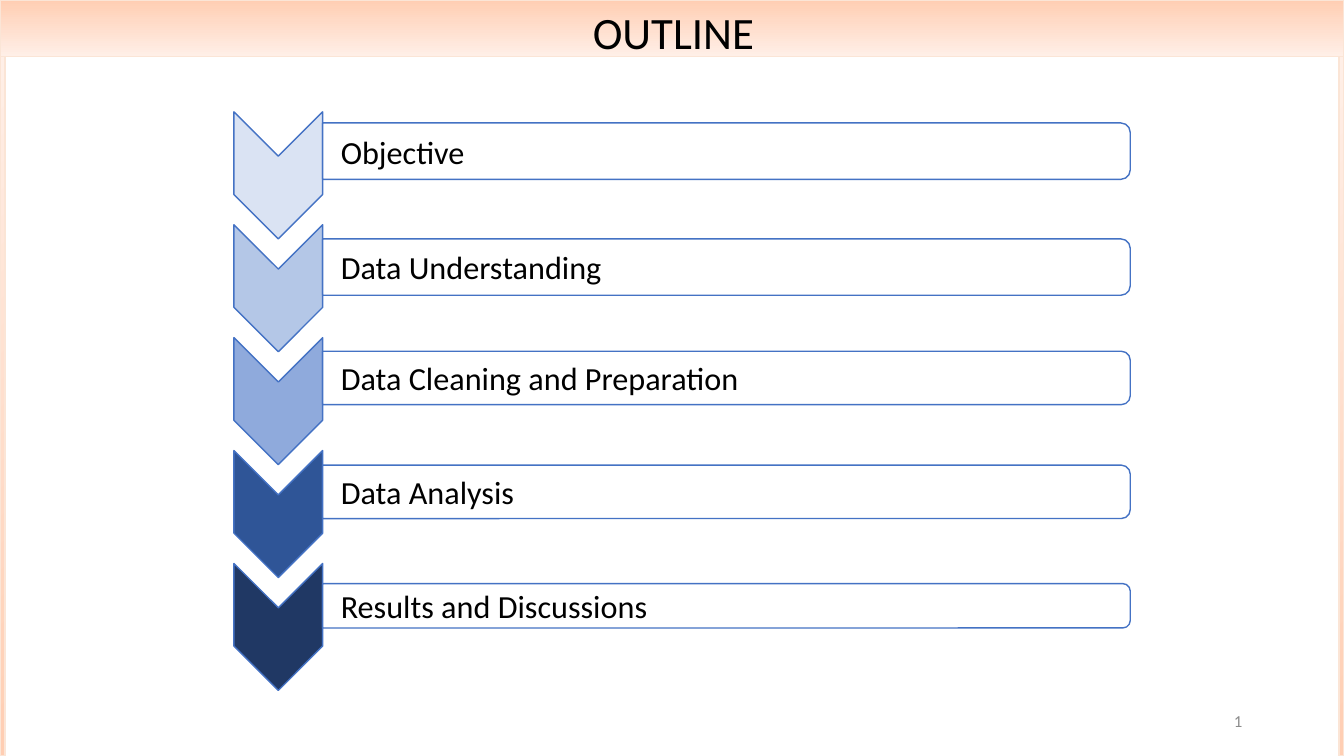
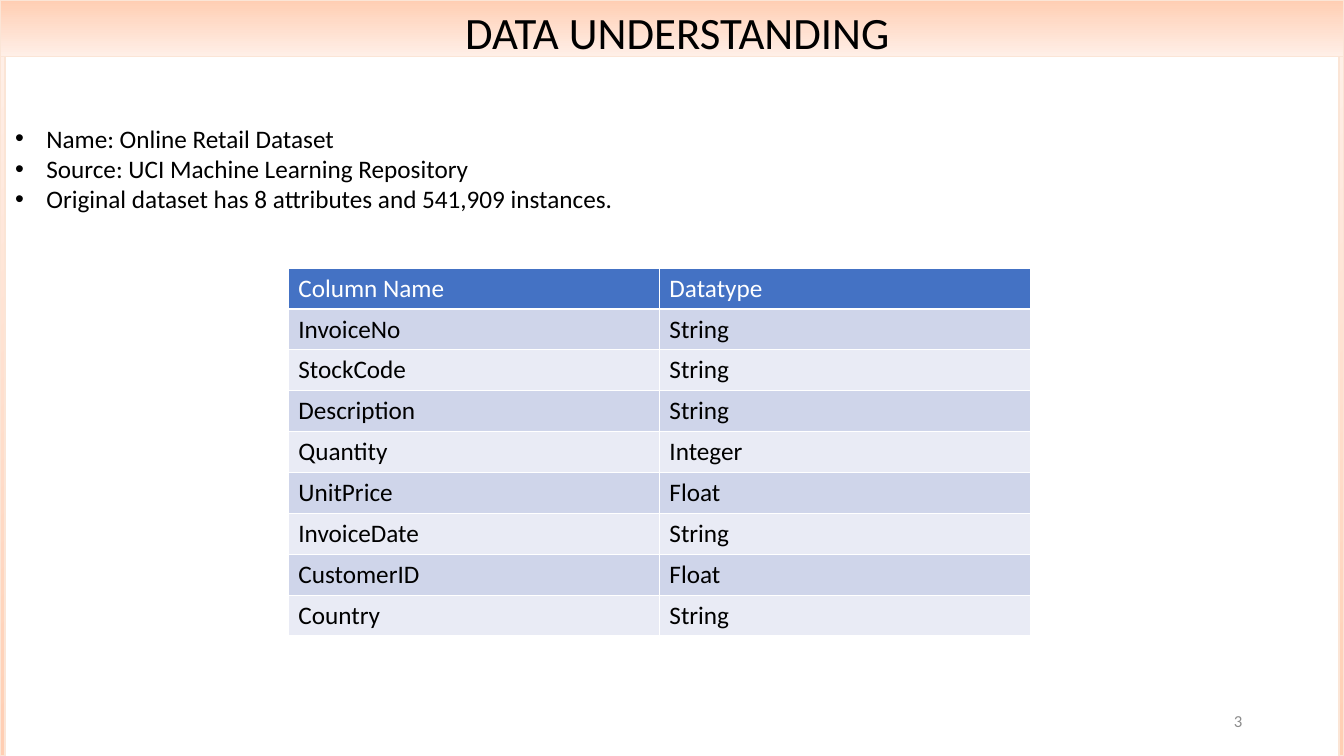
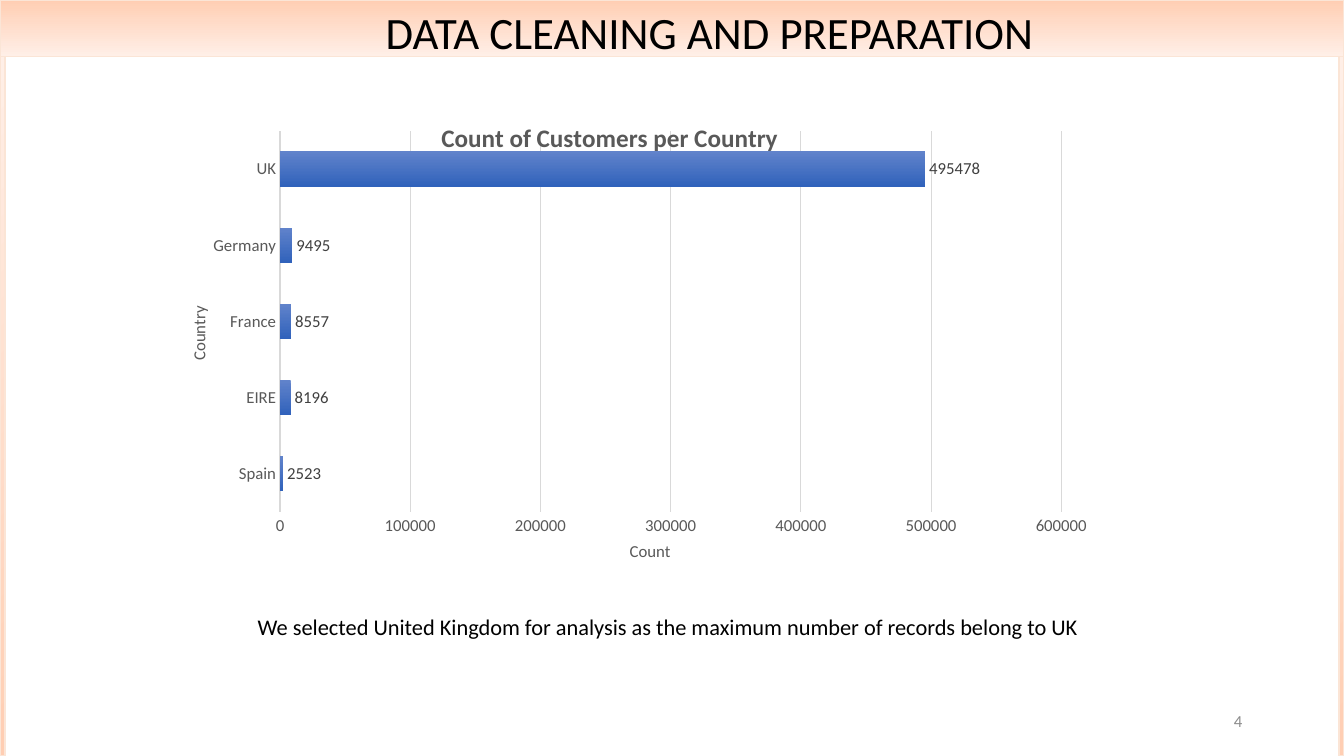
from dataclasses import dataclass

from lxml import etree
from pptx import Presentation
from pptx.chart import data as chart_data
from pptx.dml.color import RGBColor
from pptx.enum import chart as ch, shapes, text
from pptx.oxml import ns
from pptx.util import Inches, Pt


@dataclass(frozen=True)
class Theme:
    font: str = "Calibri"
    ink: str = "000000"
    paper: str = "FFFFFF"
    accent: str = "4472C4"
    muted: str = "8C8C8C"
    chart_text: str = "595959"
    label_text: str = "404040"
    grid: str = "D9D9D9"
    band: tuple = ("FFCEB3", "FFEFE7")
    band_line: str = "FBE5D6"
    bar: tuple = ("6183CB", "3062BB")
    rows: tuple = ("CFD5EA", "E9EBF5")
    title: float = 32
    step: float = 23
    body: float = 18
    caption: float = 16
    small: float = 12


THEME = Theme()
WIDTH, HEIGHT, BAND = 13.33, 7.5, 0.56

STEPS = [  # label, chevron fill, bar centre, bar height
    ("Objective", "DAE3F3", 1.5, 0.56),
    ("Data Understanding", "B4C7E7", 2.65, 0.56),
    ("Data Cleaning and Preparation", "8FAADC", 3.75, 0.53),
    ("Data Analysis", "2F5597", 4.88, 0.53),
    ("Results and Discussions", "203864", 6.01, 0.44),
]
FACTS = [
    "Name: Online Retail Dataset",
    "Source: UCI Machine Learning Repository",
    "Original dataset has 8 attributes and 541,909 instances.",
]
COLUMNS = [
    ("Column Name", "Datatype"),
    ("InvoiceNo", "String"),
    ("StockCode", "String"),
    ("Description", "String"),
    ("Quantity", "Integer"),
    ("UnitPrice", "Float"),
    ("InvoiceDate", "String"),
    ("CustomerID", "Float"),
    ("Country", "String"),
]
CUSTOMERS = {"Spain": 2523, "EIRE": 8196, "France": 8557, "Germany": 9495, "UK": 495478}


def rgb(color):
    return RGBColor.from_string(color)


def style_font(font, size, color, bold=False):
    font.name, font.size, font.bold = THEME.font, Pt(size), bold
    font.color.rgb = rgb(color)


def add_run(para, words, size, color=THEME.ink, bold=False):
    span = para.add_run()
    span.text = words
    style_font(span.font, size, color, bold)


def place(shape, box):
    shape.left, shape.top, shape.width, shape.height = map(Inches, box)


def paint_gradient(fill, colors):
    """Top-to-bottom gradient between two colours."""
    fill.gradient()
    fill.gradient_angle = 270
    for stop, color, position in zip(fill.gradient_stops, colors, (0, 1)):
        stop.color.rgb = rgb(color)
        stop.position = position


def add_outlined(page, kind, box, line, fill=None):
    shape = page.shapes.add_shape(kind, *map(Inches, box))
    shape.shadow.inherit = False
    shape.line.color.rgb = rgb(line)
    shape.line.width = Pt(1)
    if fill:
        shape.fill.solid()
        shape.fill.fore_color.rgb = rgb(fill)
    return shape


def add_upright(page, kind, box, fill):
    """Shape turned a quarter clockwise so that it fills the given box."""
    left, top, width, height = box
    turned = (left + (width - height) / 2, top + (height - width) / 2, height, width)
    add_outlined(page, kind, turned, THEME.accent, fill).rotation = 90


def add_label(page, box, words, size, color=THEME.ink, align=text.PP_ALIGN.LEFT, inset=0.1):
    label = page.shapes.add_textbox(*map(Inches, box))
    frame = label.text_frame
    frame.word_wrap = True
    frame.margin_left = Inches(inset)
    frame.margin_top = frame.margin_bottom = Inches(0.02)
    frame.vertical_anchor = text.MSO_ANCHOR.MIDDLE
    para = frame.paragraphs[0]
    para.alignment = align
    add_run(para, words, size, color)


def add_frame(deck, page):
    """Draw the header band and side rails, then hand them to the slide master."""
    rail = 0.05
    tree = deck.slide_master.shapes.element
    boxes = [(0, 0, WIDTH, BAND)] + [
        (left, BAND, rail, HEIGHT - BAND) for left in (0, WIDTH - rail)]
    for index, box in enumerate(boxes):
        band = add_outlined(page, shapes.MSO_SHAPE.RECTANGLE, box, THEME.band_line)
        paint_gradient(band.fill, THEME.band)
        if index:
            linear = band.element.find(".//" + ns.qn("a:lin"))
            radial = etree.Element(ns.qn("a:path"), {"path": "circle"})
            etree.SubElement(radial, ns.qn("a:fillToRect"), {"l": "100000", "t": "100000"})
            linear.getparent().replace(linear, radial)
        tree.insert(2 + index, band.element)


def add_page(deck, layout, title, number, center):
    page = deck.slides.add_slide(deck.slide_layouts.get_by_name(layout))
    heading = page.shapes.title
    width = 10.15
    place(heading, (center - width / 2, 0, width, 0.64))
    frame = heading.text_frame
    frame.auto_size = text.MSO_AUTO_SIZE.NONE
    frame.vertical_anchor = text.MSO_ANCHOR.TOP
    frame.paragraphs[0].alignment = text.PP_ALIGN.CENTER
    add_run(frame.paragraphs[0], title, THEME.title)
    add_label(page, (9.42, 6.95, 3, 0.4), number, THEME.small, THEME.muted,
              text.PP_ALIGN.RIGHT)
    return page


def add_steps(page, left, top, width):
    chevron_width, chevron_height, pitch = 0.88, 1.26, 1.12
    bar_left, bar_width = left + chevron_width, width - chevron_width
    for index, (words, color, middle, height) in enumerate(STEPS):
        add_upright(page, shapes.MSO_SHAPE.CHEVRON,
                    (left, top + index * pitch, chevron_width, chevron_height), color)
        bar = (bar_left, middle - height / 2, bar_width, height)
        add_upright(page, shapes.MSO_SHAPE.ROUND_2_SAME_RECTANGLE, bar, THEME.paper)
        add_label(page, bar, words, THEME.step, inset=0.18)


def fill_bullets(body, box, lines):
    place(body, box)
    frame = body.text_frame
    frame.auto_size = text.MSO_AUTO_SIZE.NONE
    frame.vertical_anchor = text.MSO_ANCHOR.TOP
    for index, words in enumerate(lines):
        para = frame.add_paragraph() if index else frame.paragraphs[0]
        para.space_before = Pt(0)
        props = para._p.get_or_add_pPr()
        props.set("marL", str(Inches(0.31)))
        props.set("indent", str(-Inches(0.31)))
        etree.SubElement(props, ns.qn("a:buFont"), {"typeface": "Arial"})
        etree.SubElement(props, ns.qn("a:buChar"), {"char": "•"})
        add_run(para, words, THEME.body)


def add_columns_table(page, box):
    table = page.shapes.add_table(len(COLUMNS), 2, *map(Inches, box)).table
    for r, row in enumerate(COLUMNS):
        fill = THEME.rows[(r - 1) % 2] if r else THEME.accent
        for c, words in enumerate(row):
            cell = table.cell(r, c)
            cell.fill.solid()
            cell.fill.fore_color.rgb = rgb(fill)
            add_run(cell.text_frame.paragraphs[0], words, THEME.body,
                    THEME.ink if r else THEME.paper)


def set_layout(parent, index, **values):
    """Give a chart part a manual layout, in fractions of the chart."""
    for old in parent.findall(ns.qn("c:layout")):
        parent.remove(old)
    layout = etree.Element(ns.qn("c:layout"))
    manual = etree.SubElement(layout, ns.qn("c:manualLayout"))
    for name, value in values.items():
        etree.SubElement(manual, ns.qn("c:" + name), {"val": str(value)})
    parent.insert(index, layout)


def style_axis(axis, title):
    axis.major_tick_mark = axis.minor_tick_mark = ch.XL_TICK_MARK.NONE
    style_font(axis.tick_labels.font, THEME.small, THEME.chart_text)
    add_run(axis.axis_title.text_frame.paragraphs[0], title, THEME.small, THEME.chart_text)


def add_customer_chart(page, box):
    data = chart_data.CategoryChartData()
    data.categories = list(CUSTOMERS)
    data.add_series("Series 1", list(CUSTOMERS.values()))
    chart = page.shapes.add_chart(
        ch.XL_CHART_TYPE.BAR_CLUSTERED, *map(Inches, box), data).chart
    style_font(chart.font, THEME.small, THEME.chart_text)
    chart.has_legend = False

    add_run(chart.chart_title.text_frame.paragraphs[0], "Count of Customers per Country",
            THEME.body, THEME.chart_text, bold=True)
    set_layout(chart.chart_title.element, 1, xMode="edge", yMode="edge", x=0.28, y=0.05)
    set_layout(chart.element.find(".//" + ns.qn("c:plotArea")), 0,
               layoutTarget="inner", xMode="edge", yMode="edge",
               x=0.106, y=0.083, w=0.867, h=0.802)

    countries, counts = chart.category_axis, chart.value_axis
    style_axis(countries, "Country")
    style_axis(counts, "Count")
    turn = countries.axis_title.element.find(".//" + ns.qn("a:bodyPr"))
    turn.set("rot", "-5400000")
    turn.set("vert", "horz")
    countries.format.line.color.rgb = rgb(THEME.grid)
    countries.format.line.width = Pt(1)
    counts.format.line.fill.background()
    counts.major_gridlines.format.line.color.rgb = rgb(THEME.grid)
    counts.major_gridlines.format.line.width = Pt(0.75)

    plot = chart.plots[0]
    plot.vary_by_categories = False
    plot.gap_width, plot.overlap = 115, -20
    paint_gradient(plot.series[0].format.fill, THEME.bar)
    plot.has_data_labels = True
    labels = plot.data_labels
    labels.show_value = True
    labels.position = ch.XL_LABEL_POSITION.OUTSIDE_END
    style_font(labels.font, THEME.small, THEME.label_text)


def main():
    deck = Presentation()
    deck.slide_width, deck.slide_height = Inches(WIDTH), Inches(HEIGHT)

    outline = add_page(deck, "Title Only", "OUTLINE", "1", 6.68)
    add_frame(deck, outline)
    add_steps(outline, 2.32, 1.11, 8.89)

    understanding = add_page(deck, "Title and Content", "DATA UNDERSTANDING", "3", 6.72)
    fill_bullets(understanding.placeholders[1], (0.05, 1.17, 13.18, 1.3), FACTS)
    add_columns_table(understanding, (2.86, 2.66, 7.36, 3.65))

    cleaning = add_page(deck, "Title Only", "DATA CLEANING AND PREPARATION", "4", 7.04)
    add_customer_chart(cleaning, (1.83, 0.91, 8.95, 4.71))
    add_label(
        cleaning, (1.24, 6.03, 10.77, 0.37),
        "We selected United Kingdom for analysis as the maximum number of records belong to UK",
        THEME.caption, align=text.PP_ALIGN.CENTER)

    deck.save("out.pptx")


if __name__ == "__main__":
    main()
